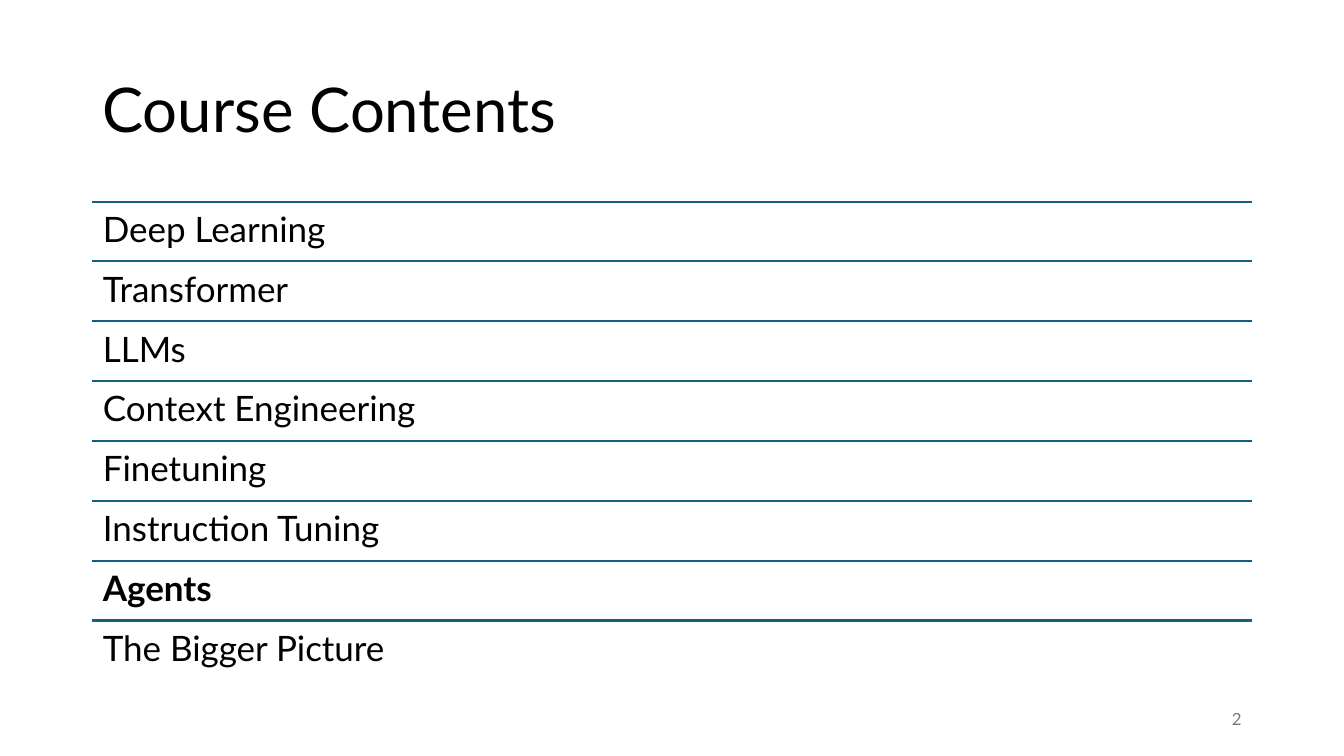
import pptx
import pptx.dml.color
import pptx.enum.shapes
import pptx.enum.text
import pptx.util
from pptx.oxml.ns import qn
from lxml import etree

PX = 9525  # EMU in one px, 96 px to the inch
FONT = "Lato"
COLOURS = {"text": "000000", "rule": "156082", "number": "797979"}

LEFT, WIDTH = 88, 1104
LIST_TOP, ROW_HEIGHT = 192, 57
INSET = 10

TOPICS = ["Deep Learning", "Transformer", "LLMs", "Context Engineering",
          "Finetuning", "Instruction Tuning", "Agents", "The Bigger Picture"]
CURRENT_TOPIC = "Agents"

ALIGN = pptx.enum.text.PP_ALIGN
ANCHOR = pptx.enum.text.MSO_ANCHOR


def px(length):
    return pptx.util.Emu(length * PX)


def colour(name):
    return pptx.dml.color.RGBColor.from_string(COLOURS[name])


def write(box, text, size, colour_name="text", align=ALIGN.LEFT,
          anchor=ANCHOR.MIDDLE, bold=False):
    frame = box.text_frame
    frame.word_wrap = True
    frame.vertical_anchor = anchor
    para = frame.paragraphs[0]
    para.text = text
    para.alignment = align
    para.line_spacing = 0.9
    para.font.name = FONT
    para.font.size = pptx.util.Pt(size)
    para.font.bold = bold
    para.font.color.rgb = colour(colour_name)


def add_title(page, text):
    title = page.shapes.title
    title.left, title.top = px(LEFT), px(38)
    title.width, title.height = px(WIDTH), px(139)
    write(title, text, 44)


def add_rule(shapes, top):
    rule = shapes.add_connector(pptx.enum.shapes.MSO_CONNECTOR.STRAIGHT,
                                px(LEFT), px(top), px(LEFT + WIDTH), px(top))
    rule.line.color.rgb = colour("rule")
    rule.line.width = pptx.util.Pt(1.5)
    etree.SubElement(rule._element.spPr, qn("a:effectLst"))


def add_topic(shapes, top, text):
    box = shapes.add_textbox(px(LEFT), px(top), px(WIDTH), px(ROW_HEIGHT))
    frame = box.text_frame
    frame.margin_left = frame.margin_right = px(INSET)
    frame.margin_top = frame.margin_bottom = px(INSET)
    write(box, text, 25, anchor=ANCHOR.TOP, bold=text == CURRENT_TOPIC)


def add_page_number(page, number):
    box = page.shapes.add_textbox(px(904), px(667), px(288), px(38))
    write(box, number, 12, "number", ALIGN.RIGHT)


def main():
    deck = pptx.Presentation()
    deck.slide_width, deck.slide_height = px(1280), px(720)
    page = deck.slides.add_slide(deck.slide_layouts[5])

    add_title(page, "Course Contents")

    # Ruled list of topics
    topics = page.shapes.add_group_shape()
    for row, topic in enumerate(TOPICS):
        top = LIST_TOP + row * ROW_HEIGHT
        add_rule(topics.shapes, top)
        add_topic(topics.shapes, top, topic)

    add_page_number(page, "2")
    deck.save("out.pptx")


if __name__ == "__main__":
    main()
